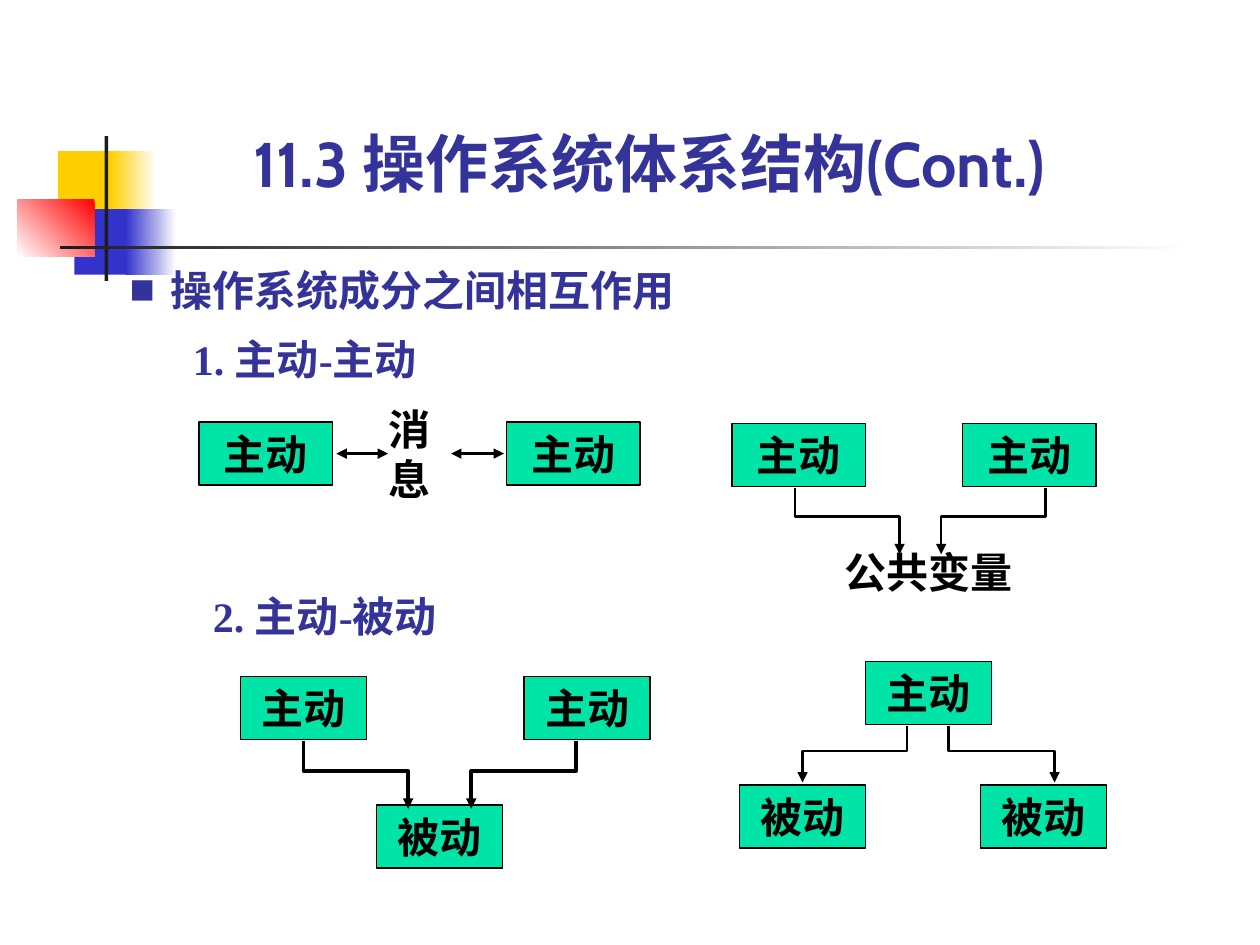
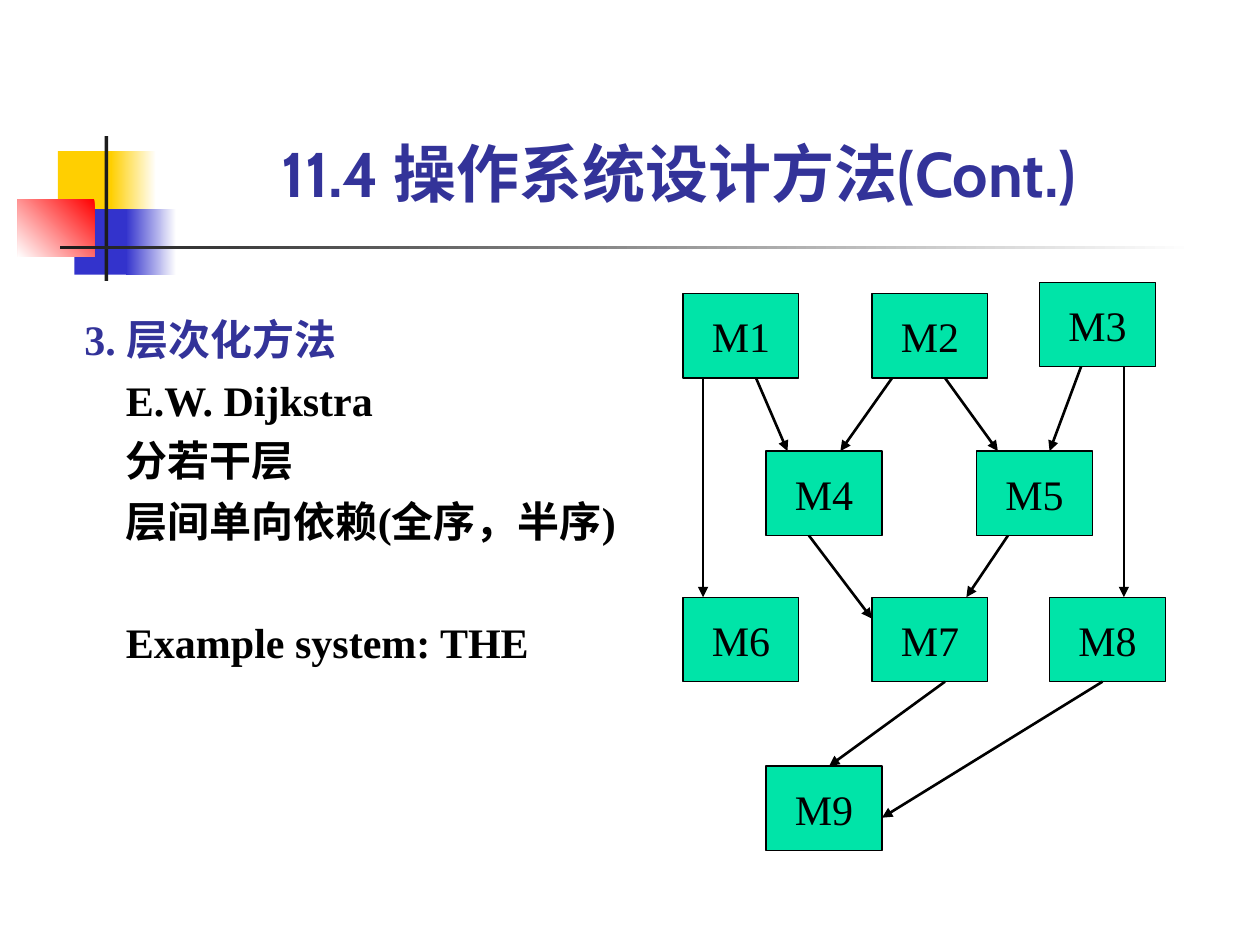
from dataclasses import dataclass
from typing import Optional

from lxml import etree
from pptx import Presentation
from pptx.dml.color import RGBColor
from pptx.enum.shapes import MSO_CONNECTOR, MSO_SHAPE
from pptx.enum.text import MSO_ANCHOR, PP_ALIGN
from pptx.oxml.ns import qn
from pptx.util import Emu, Pt

RECT = MSO_SHAPE.RECTANGLE
STRAIGHT = MSO_CONNECTOR.STRAIGHT
TOP, MIDDLE, BOTTOM = MSO_ANCHOR.TOP, MSO_ANCHOR.MIDDLE, MSO_ANCHOR.BOTTOM
LEFT, CENTER = PP_ALIGN.LEFT, PP_ALIGN.CENTER
EMU_PER_PX = 9144  # 100 px to the inch
BLANK_LAYOUT = 6


@dataclass(frozen=True)
class Theme:
    heading: str = "333399"
    ink: str = "000000"
    box: str = "00E4A8"
    white: str = "FFFFFF"
    yellow: str = "FFCF01"
    blue: str = "3333CC"
    red: str = "FF0000"
    rule: str = "1C1C1C"
    title_font: str = "Cabin"
    body_font: str = "Times New Roman"
    title_size: int = 36
    body_size: int = 24
    border: float = 0.75
    arrow: float = 1.5
    thick_arrow: float = 2


THEME = Theme()


@dataclass(frozen=True)
class Band:
    x: int
    y: int
    w: int
    h: int
    color: str
    end: Optional[str] = None  # second gradient colour
    angle: int = 180


@dataclass(frozen=True)
class Box:
    label: str
    x: int
    y: int
    w: int
    h: int
    bold: bool = True


@dataclass(frozen=True)
class Label:
    text: str
    x: int
    y: int
    w: int
    h: int
    color: str = THEME.ink


@dataclass(frozen=True)
class Elbow:
    x1: int
    y1: int
    bend: int
    x2: int
    y2: int
    weight: float = THEME.arrow


@dataclass(frozen=True)
class Link:
    """Arrow from the bottom of one module to an offset within another."""
    src: str
    src_dx: int
    dst: str
    dst_dx: int
    dst_dy: int = 0


# Shared decoration
BANDS = [
    Band(46, 120, 48, 52, THEME.yellow),
    Band(88, 120, 36, 52, THEME.white, THEME.yellow),
    Band(59, 166, 46, 52, THEME.blue),
    Band(100, 166, 40, 52, THEME.white, THEME.blue),
    Band(14, 158, 61, 46, THEME.red, THEME.white, 225),
    Band(83, 108, 3, 115, THEME.rule),
    Band(48, 195, 900, 3, THEME.white, THEME.rule),
]

# Interaction slide
ACTIVE, PASSIVE = "主动", "被动"
INTERACTION_BOXES = [
    *[Box(ACTIVE, x, 335, 106, 50) for x in (158, 402)],
    *[Box(ACTIVE, x, 336, 106, 50) for x in (581, 764)],
    *[Box(ACTIVE, x, 537, 100, 50) for x in (191, 416)],
    Box(PASSIVE, 299, 639, 100, 50),
    Box(ACTIVE, 687, 525, 100, 50),
    *[Box(PASSIVE, x, 623, 100, 50) for x in (587, 778)],
]
INTERACTION_LABELS = [
    Label("消息", 308, 320, 38, 80),
    Label("公共变量", 670, 434, 148, 40),
    Label("1. 主动-主动", 153, 265, 212, 40, THEME.heading),
    Label("2. 主动-被动", 169, 469, 217, 40, THEME.heading),
]
ELBOWS = [
    Elbow(241, 588, 612, 324, 642, THEME.thick_arrow),
    Elbow(457, 588, 612, 374, 642, THEME.thick_arrow),
    Elbow(720, 576, 596, 637, 621),
    Elbow(753, 576, 596, 837, 621),
    Elbow(631, 387, 410, 714, 440),
    Elbow(830, 387, 410, 747, 440),
]
MESSAGE_ARROWS = [(267, 308), (358, 400)]
MESSAGE_Y = 360

# Layered design slide
MODULE_W, MODULE_H = 92, 67
MODULES = {
    name: Box(name, x, y, MODULE_W, MODULE_H, bold=False)
    for name, x, y in [
        ("M1", 542, 233), ("M2", 692, 233), ("M3", 825, 224),
        ("M4", 608, 358), ("M5", 775, 358),
        ("M6", 542, 474), ("M7", 692, 474), ("M8", 833, 474),
        ("M9", 608, 608),
    ]
}
LINKS = [
    Link("M1", 16, "M6", 16), Link("M1", 58, "M4", 17),
    Link("M2", 16, "M4", 59), Link("M2", 58, "M5", 17),
    Link("M3", 33, "M5", 58), Link("M3", 67, "M8", 59),
    Link("M4", 34, "M7", 0, 17), Link("M5", 25, "M7", 75),
    Link("M7", 58, "M9", 50), Link("M8", 42, "M9", MODULE_W, 41),
]
METHOD_LINES = ["3. 层次化方法", "E.W. Dijkstra", "分若干层",
                "层间单向依赖(全序，半序)", "Example system: THE"]


def px(n: int) -> Emu:
    return Emu(n * EMU_PER_PX)


def rgb(color: str) -> RGBColor:
    return RGBColor.from_string(color)


def style_paragraph(p, color: str, bold: bool = True,
                    font: str = THEME.body_font, size: int = THEME.body_size,
                    align=LEFT) -> None:
    p.alignment = align
    for r in p.runs:
        r.font.name, r.font.size, r.font.bold = font, Pt(size), bold
        r.font.color.rgb = rgb(color)


def indent(p, margin: int, first: int = 0):
    pPr = p._p.get_or_add_pPr()
    pPr.set("marL", str(px(margin)))
    pPr.set("indent", str(px(first)))
    return pPr


def add_text(s, x: int, y: int, w: int, h: int, lines: list[str], anchor=TOP):
    tf = s.shapes.add_textbox(px(x), px(y), px(w), px(h)).text_frame
    tf.word_wrap = True
    tf.margin_left = tf.margin_right = tf.margin_top = tf.margin_bottom = 0
    tf.vertical_anchor = anchor
    tf.text = "\n".join(lines)
    return tf


def add_band(s, band: Band) -> None:
    sp = s.shapes.add_shape(RECT, px(band.x), px(band.y), px(band.w), px(band.h))
    sp.shadow.inherit = False
    sp.line.fill.background()
    if band.end is None:
        sp.fill.solid()
        sp.fill.fore_color.rgb = rgb(band.color)
        return
    sp.fill.gradient()
    sp.fill.gradient_angle = band.angle
    for stop, color in zip(sp.fill.gradient_stops, (band.color, band.end)):
        stop.color.rgb = rgb(color)


def add_title(s, text: str, x: int, y: int, anchor, align) -> None:
    tf = add_text(s, x, y, 740, 60, [text], anchor)
    style_paragraph(tf.paragraphs[0], THEME.heading, font=THEME.title_font,
                    size=THEME.title_size, align=align)


def add_label(s, label: Label) -> None:
    tf = add_text(s, label.x, label.y, label.w, label.h, [label.text])
    style_paragraph(tf.paragraphs[0], label.color)


def add_box(s, box: Box) -> None:
    sp = s.shapes.add_shape(RECT, px(box.x), px(box.y), px(box.w), px(box.h))
    sp.shadow.inherit = False
    sp.fill.solid()
    sp.fill.fore_color.rgb = rgb(THEME.box)
    sp.line.color.rgb = rgb(THEME.ink)
    sp.line.width = Pt(THEME.border)
    tf = sp.text_frame
    tf.vertical_anchor = MIDDLE
    tf.text = box.label
    style_paragraph(tf.paragraphs[0], THEME.ink, box.bold, align=CENTER)


def style_arrow(sp, weight: float, both_ends: bool = False) -> None:
    sp.line.color.rgb = rgb(THEME.ink)
    sp.line.width = Pt(weight)
    ln = sp.line._get_or_add_ln()
    for end in ("a:headEnd", "a:tailEnd") if both_ends else ("a:tailEnd",):
        etree.SubElement(ln, qn(end), type="triangle")


def add_arrow(s, x1: int, y1: int, x2: int, y2: int, both_ends: bool = False) -> None:
    cx = s.shapes.add_connector(STRAIGHT, px(x1), px(y1), px(x2), px(y2))
    style_arrow(cx, THEME.arrow, both_ends)
    etree.SubElement(cx._element.spPr, qn("a:effectLst"))


def add_elbow(s, e: Elbow) -> None:
    builder = s.shapes.build_freeform(e.x1, e.y1, scale=EMU_PER_PX)
    builder.add_line_segments([(e.x1, e.bend), (e.x2, e.bend), (e.x2, e.y2)],
                              close=False)
    sp = builder.convert_to_shape()
    sp.shadow.inherit = False
    sp.fill.background()
    style_arrow(sp, e.weight)


def add_link(s, link: Link) -> None:
    src, dst = MODULES[link.src], MODULES[link.dst]
    add_arrow(s, src.x + link.src_dx, src.y + src.h,
              dst.x + link.dst_dx, dst.y + link.dst_dy)


def new_slide(prs):
    s = prs.slides.add_slide(prs.slide_layouts[BLANK_LAYOUT])
    for band in BANDS:
        add_band(s, band)
    return s


def build_interaction(prs) -> None:
    s = new_slide(prs)
    add_title(s, "11.3 操作系统体系结构(Cont.)", 201, 99, BOTTOM, LEFT)

    # Bulleted heading
    p = add_text(s, 103, 210, 484, 40, ["操作系统成分之间相互作用"]).paragraphs[0]
    pPr = indent(p, 32, -32)
    bullet_color = etree.SubElement(pPr, qn("a:buClr"))
    etree.SubElement(bullet_color, qn("a:srgbClr"), val=THEME.heading)
    etree.SubElement(pPr, qn("a:buFont"), typeface=THEME.body_font)
    etree.SubElement(pPr, qn("a:buChar"), char="■")
    style_paragraph(p, THEME.heading)

    # Diagrams
    for box in INTERACTION_BOXES:
        add_box(s, box)
    for label in INTERACTION_LABELS:
        add_label(s, label)
    for x1, x2 in MESSAGE_ARROWS:
        add_arrow(s, x1, MESSAGE_Y, x2, MESSAGE_Y, both_ends=True)
    for elbow in ELBOWS:
        add_elbow(s, elbow)


def build_layers(prs) -> None:
    s = new_slide(prs)
    add_title(s, "11.4 操作系统设计方法(Cont.)", 169, 107, MIDDLE, CENTER)

    # Method notes
    tf = add_text(s, 67, 241, 450, 288, METHOD_LINES)
    for i, p in enumerate(tf.paragraphs):
        p.line_spacing = 1.2
        if i:
            indent(p, 33)
        style_paragraph(p, THEME.ink if i else THEME.heading)
    tf.paragraphs[-1].space_before = Pt(35)

    # Module graph
    for module in MODULES.values():
        add_box(s, module)
    for link in LINKS:
        add_link(s, link)


def main() -> None:
    prs = Presentation()
    prs.slide_width, prs.slide_height = px(1000), px(750)
    build_interaction(prs)
    build_layers(prs)
    prs.save("out.pptx")


if __name__ == "__main__":
    main()
